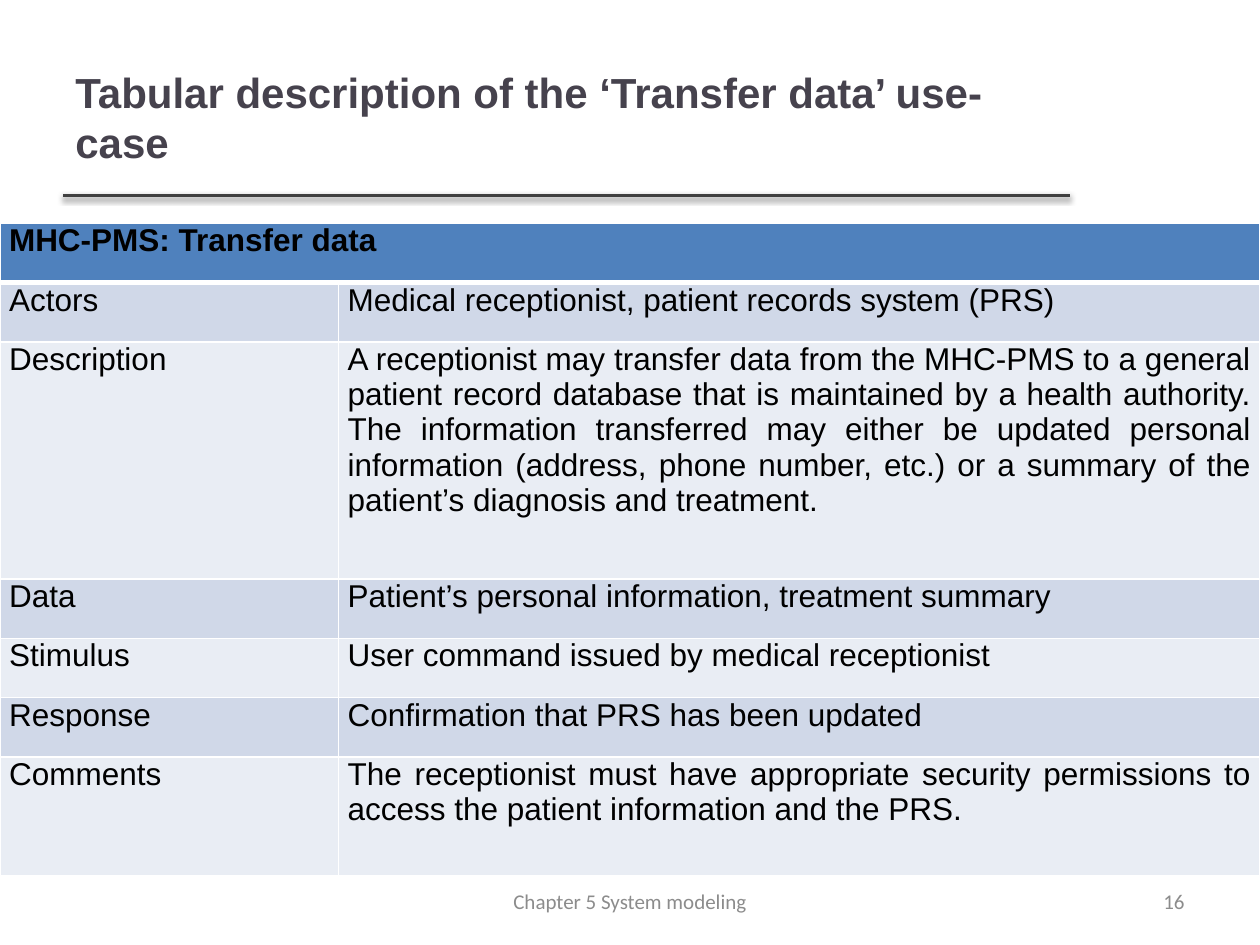
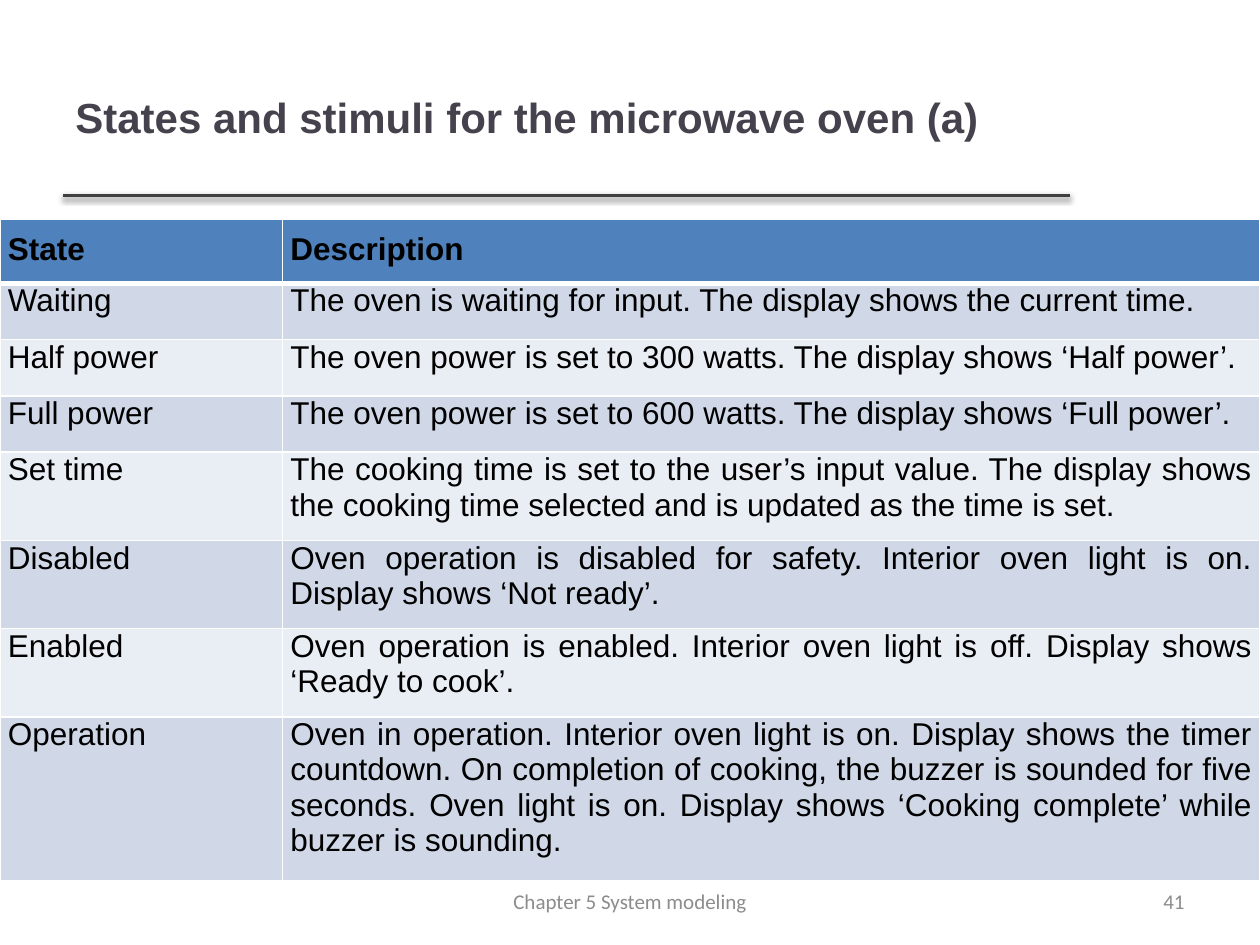
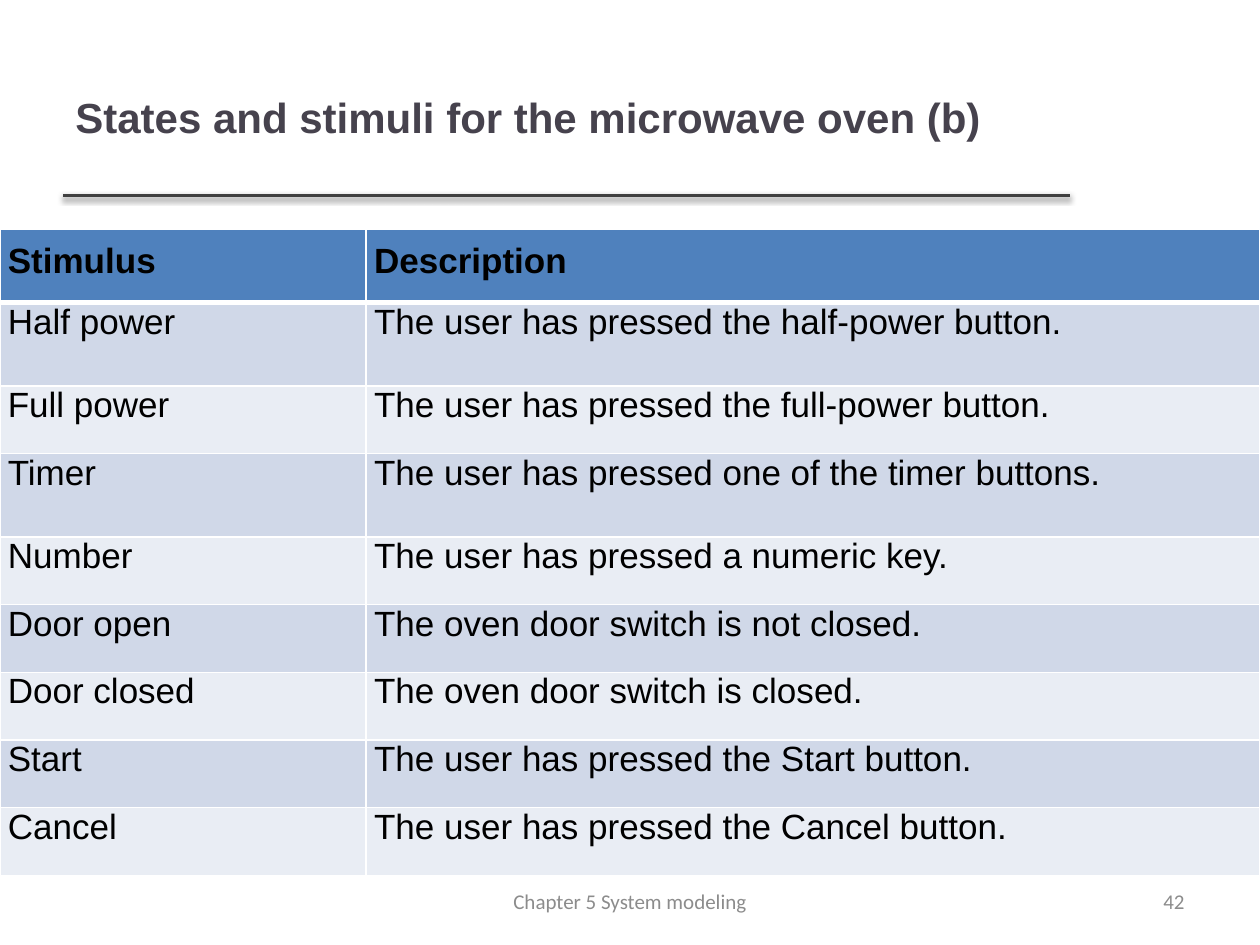
from lxml.etree import SubElement
from pptx import Presentation
from pptx.dml.color import RGBColor
from pptx.enum.shapes import MSO_CONNECTOR
from pptx.enum.text import MSO_ANCHOR as ANCHOR, PP_ALIGN as ALIGN
from pptx.oxml.ns import qn
from pptx.util import Pt

COLORS = {
    "title": "46424D", "rule": "404040", "footer": "8C8C8C", "text": "000000",
    "head": "4F81BD", "odd": "D0D8E8", "even": "E9EDF4", "border": "FFFFFF",
    "shadow": "000000",
}
FOOTER = "Chapter 5 System modeling"


def rgb(name):
    return RGBColor.from_string(COLORS[name])


def put_text(tf, text, size=18, color="text", font="Arial", bold=False, align=ALIGN.LEFT):
    p = tf.paragraphs[0]
    p.alignment = align
    r = p.add_run()
    r.text = text
    r.font.size, r.font.name, r.font.bold = Pt(size), font, bold
    r.font.color.rgb = rgb(color)


def set_border(cell, side, width):
    tc_pr = cell._tc.get_or_add_tcPr()
    ln = SubElement(tc_pr, qn(f"a:ln{side}"), w=str(Pt(width)))
    fill = SubElement(ln, qn("a:solidFill"))
    SubElement(fill, qn("a:srgbClr"), val=COLORS["border"])


class Deck:
    def __init__(self):
        self.prs = Presentation()
        self.prs.slide_width, self.prs.slide_height = Pt(720), Pt(540)
        self.s = None

    def slide(self, title, number):
        self.s = self.prs.slides.add_slide(self.prs.slide_layouts[6])
        self.rule(36, 111.6, 611.3)
        self.text(title, 36, 21.6, 574.6, 90, size=24, color="title", bold=True)
        footer = dict(size=12, color="footer", font="Calibri")
        self.text(FOOTER, 246, 500.5, 228, 28.8, align=ALIGN.CENTER, **footer)
        self.text(str(number), 516, 500.5, 168, 28.8, align=ALIGN.RIGHT, **footer)

    def text(self, text, x, y, w, h, **fmt):
        tf = self.s.shapes.add_textbox(Pt(x), Pt(y), Pt(w), Pt(h)).text_frame
        tf.word_wrap = True
        tf.vertical_anchor = ANCHOR.MIDDLE
        put_text(tf, text, **fmt)

    def rule(self, x1, y, x2):
        line = self.s.shapes.add_connector(
            MSO_CONNECTOR.STRAIGHT, Pt(x1), Pt(y), Pt(x2), Pt(y))
        line.line.width = Pt(2)
        line.line.color.rgb = rgb("rule")
        # Soft shadow straight below the rule
        effects = SubElement(line._element.spPr, qn("a:effectLst"))
        shadow = SubElement(effects, qn("a:outerShdw"), blurRad=str(Pt(3.1)),
                            dist=str(Pt(1.6)), dir="5400000", rotWithShape="0")
        color = SubElement(shadow, qn("a:srgbClr"), val=COLORS["shadow"])
        SubElement(color, qn("a:alpha"), val="38000")

    def table(self, rows, y, first_col, heights, size=18, side=4.5, head_top=7.2, bottom=7.2):
        frame = self.s.shapes.add_table(
            len(rows), 2, 0, Pt(y), Pt(720), Pt(sum(heights)))
        tbl = frame.table
        tbl.first_row = tbl.horz_banding = False
        for col, width in zip(tbl.columns, (first_col, 720 - first_col)):
            col.width = Pt(width)
        for i, (texts, height) in enumerate(zip(rows, heights)):
            tbl.rows[i].height = Pt(height)
            band = "head" if i == 0 else ("even", "odd")[i % 2]
            for j in range(2):
                cell = tbl.cell(i, j)
                cell.margin_left = cell.margin_right = Pt(side)
                cell.margin_top = Pt(head_top if i == 0 else 0)
                cell.margin_bottom = Pt(bottom)
                # The edge under the header is heavier
                for edge, width in zip("LRTB", (1, 1, 3 if i == 1 else 1, 3 if i == 0 else 1)):
                    set_border(cell, edge, width)
                cell.fill.solid()
                cell.fill.fore_color.rgb = rgb(band)
                if j < len(texts):
                    put_text(cell.text_frame, texts[j], size=size, bold=i == 0,
                             align=ALIGN.JUSTIFY)
            if len(texts) == 1:
                tbl.cell(i, 0).merge(tbl.cell(i, 1))


TRANSFER = [
    ("MHC-PMS: Transfer data",),
    ("Actors", "Medical receptionist, patient records system (PRS)"),
    ("Description",
     "A receptionist may transfer data from the MHC-PMS to a general patient record "
     "database that is maintained by a health authority. The information transferred may "
     "either be updated personal information (address, phone number, etc.) or a summary "
     "of the patient’s diagnosis and treatment."),
    ("Data", "Patient’s personal information, treatment summary"),
    ("Stimulus", "User command issued by medical receptionist"),
    ("Response", "Confirmation that PRS has been updated"),
    ("Comments",
     "The receptionist must have appropriate security permissions to access the patient "
     "information and the PRS."),
]
STATES = [
    ("State", "Description"),
    ("Waiting", "The oven is waiting for input. The display shows the current time."),
    ("Half power", "The oven power is set to 300 watts. The display shows ‘Half power’."),
    ("Full power", "The oven power is set to 600 watts. The display shows ‘Full power’."),
    ("Set time",
     "The cooking time is set to the user’s input value. The display shows the cooking "
     "time selected and is updated as the time is set."),
    ("Disabled",
     "Oven operation is disabled for safety. Interior oven light is on. Display shows "
     "‘Not ready’."),
    ("Enabled",
     "Oven operation is enabled. Interior oven light is off. Display shows "
     "‘Ready to cook’."),
    ("Operation",
     "Oven in operation. Interior oven light is on. Display shows the timer countdown. "
     "On completion of cooking, the buzzer is sounded for five seconds. Oven light is on. "
     "Display shows ‘Cooking complete’ while buzzer is sounding."),
]
STIMULI = [
    ("Stimulus", "Description"),
    ("Half power", "The user has pressed the half-power button."),
    ("Full power", "The user has pressed the full-power button."),
    ("Timer", "The user has pressed one of the timer buttons."),
    ("Number", "The user has pressed a numeric key."),
    ("Door open", "The oven door switch is not closed."),
    ("Door closed", "The oven door switch is closed."),
    ("Start", "The user has pressed the Start button."),
    ("Cancel", "The user has pressed the Cancel button."),
]


def main():
    deck = Deck()

    # Use-case table: row heights are multiples of one unit
    deck.slide("Tabular description of the ‘Transfer data’ use-case", 16)
    deck.table(TRANSFER, 127.6, 193.5, [33.9 * n for n in (1, 1, 4, 1, 1, 1, 2)],
               side=5.2, head_top=0, bottom=0)

    # Oven states
    deck.slide("States and stimuli for the microwave oven (a)", 41)
    deck.table(STATES, 125.4, 161.5, [36.5] + [32.2] * 3 + [49.8] * 3 + [92])

    # Oven stimuli
    deck.slide("States and stimuli for the microwave oven (b)", 42)
    tall, low = 47.6, 38.7
    deck.table(STIMULI, 131.2, 209.3, [41.7, tall, low, tall] + [low] * 5, size=20)

    deck.prs.save("out.pptx")


if __name__ == "__main__":
    main()
